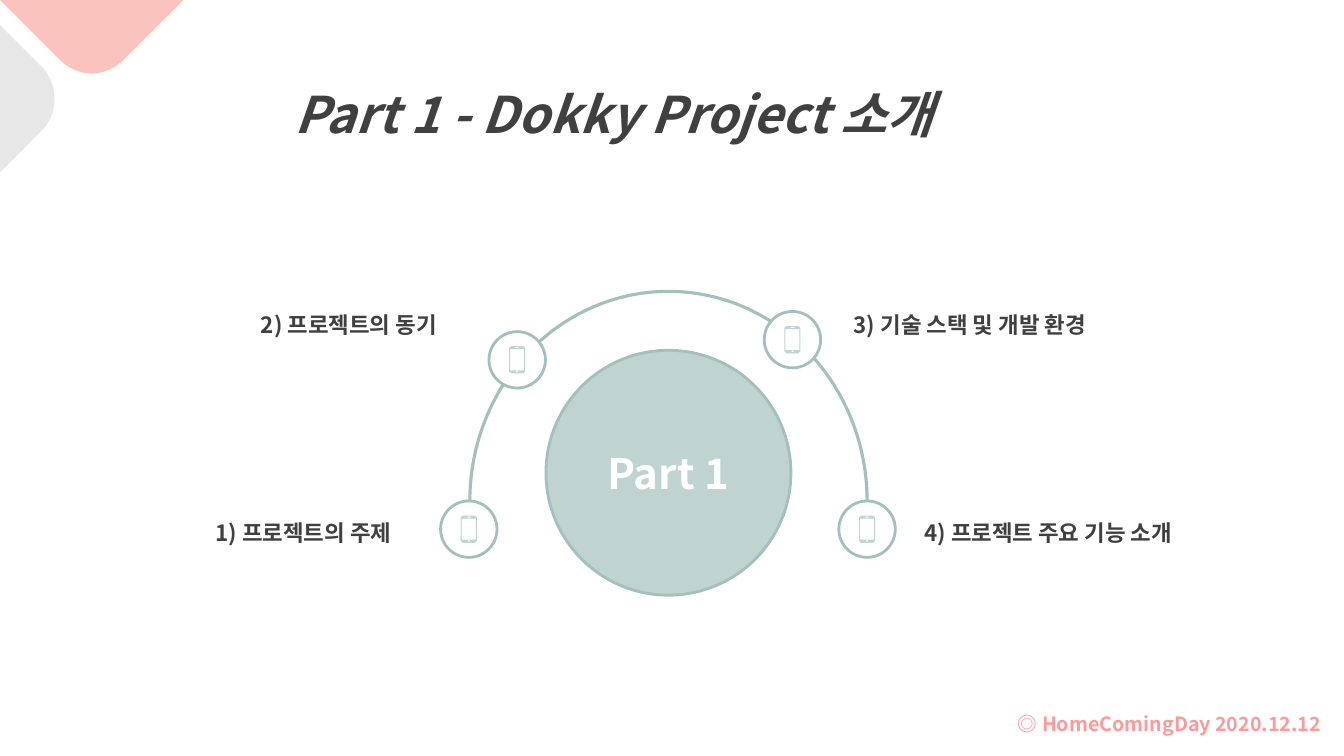
import math
from dataclasses import dataclass

import pptx
import pptx.dml.color
import pptx.enum.shapes
import pptx.enum.text
import pptx.oxml
import pptx.oxml.ns
import pptx.util

Inches = pptx.util.Inches
Pt = pptx.util.Pt
MSO = pptx.enum.shapes.MSO_SHAPE
ALIGN = pptx.enum.text.PP_ALIGN
ANCHOR = pptx.enum.text.MSO_ANCHOR


@dataclass(frozen=True)
class Theme:
    font: str = "Noto Sans CJK KR"
    ink: str = "404040"
    white: str = "FFFFFF"
    sage: str = "BFD3D1"
    sage_line: str = "A4C0BD"
    pink: str = "FAC3BE"
    grey: str = "E7E7E7"
    footer: str = "FF9999"
    title_size: int = 36
    hub_size: int = 30
    label_size: int = 16
    footer_size: int = 14


def rgb(color):
    return pptx.dml.color.RGBColor.from_string(color)


def curve(start, control_1, control_2, end, steps=16):
    """Points along a cubic curve, both ends included."""
    points = []
    for step in range(steps + 1):
        t = step / steps
        weights = ((1 - t) ** 3, 3 * t * (1 - t) ** 2, 3 * t * t * (1 - t), t ** 3)
        corners = (start, control_1, control_2, end)
        points.append(tuple(sum(w * c[axis] for w, c in zip(weights, corners))
                            for axis in (0, 1)))
    return points


def box(left, top, width, height):
    return [(left, top), (left + width, top),
            (left + width, top + height), (left, top + height)]


class SlideBuilder:
    def __init__(self, slide, theme):
        self.slide = slide
        self.theme = theme

    def fill_text(self, frame, text, size, color, align=ALIGN.LEFT, spacing=1.5,
                  italic=False, wrap=True, anchor=ANCHOR.TOP):
        frame.word_wrap = wrap
        frame.vertical_anchor = anchor
        paragraph = frame.paragraphs[0]
        paragraph.alignment = align
        paragraph.line_spacing = spacing
        run = paragraph.add_run()
        run.text = text
        font = run.font
        font.name, font.size, font.bold, font.italic = self.theme.font, Pt(size), True, italic
        font.color.rgb = rgb(color)
        # Hangul takes the East Asian typeface
        east_asian = pptx.oxml.parse_xml(
            f'<a:ea {pptx.oxml.ns.nsdecls("a")} typeface="{self.theme.font}"/>')
        font._element.find(pptx.oxml.ns.qn("a:latin")).addnext(east_asian)

    def title(self, text, left, top, width, height):
        heading = self.slide.shapes.title
        heading.left, heading.top = Inches(left), Inches(top)
        heading.width, heading.height = Inches(width), Inches(height)
        heading.text_frame.auto_size = pptx.enum.text.MSO_AUTO_SIZE.NONE
        self.fill_text(heading.text_frame, text, self.theme.title_size,
                       self.theme.ink, italic=True)

    def text(self, text, left, top, width, height, size, color, **style):
        area = self.slide.shapes.add_textbox(
            Inches(left), Inches(top), Inches(width), Inches(height))
        self.fill_text(area.text_frame, text, size, color, **style)

    def shape(self, kind, left, top, width, height, fill=None, line_width=2.0):
        item = self.slide.shapes.add_shape(
            kind, Inches(left), Inches(top), Inches(width), Inches(height))
        item.shadow.inherit = False
        if fill:
            item.fill.solid()
            item.fill.fore_color.rgb = rgb(fill)
        else:
            item.fill.background()
        item.line.color.rgb = rgb(self.theme.sage_line)
        item.line.width = Pt(line_width)
        return item

    def circle(self, x, y, diameter, fill):
        return self.shape(MSO.OVAL, x - diameter / 2, y - diameter / 2,
                          diameter, diameter, fill)

    def outline(self, contours, fill):
        contours = [[(Inches(x), Inches(y)) for x, y in contour] for contour in contours]
        builder = self.slide.shapes.build_freeform(*contours[0][0])
        builder.add_line_segments(contours[0][1:], close=True)
        for contour in contours[1:]:
            builder.move_to(*contour[0])
            builder.add_line_segments(contour[1:], close=True)
        item = builder.convert_to_shape()
        item.shadow.inherit = False
        item.fill.solid()
        item.fill.fore_color.rgb = rgb(fill)
        item.line.fill.background()

    def phone(self, x, y):
        width, height, bevel = 0.16, 0.27, 0.02
        left, top = x - width / 2, y - height / 2
        right, bottom = left + width, top + height
        body = [(left + bevel, top), (right - bevel, top), (right, top + bevel),
                (right, bottom - bevel), (right - bevel, bottom),
                (left + bevel, bottom), (left, bottom - bevel), (left, top + bevel)]
        screen = box(left + 0.01, top + 0.03, width - 0.02, 0.21)
        speaker = box(x - 0.02, top + 0.01, 0.04, 0.01)
        button = [(x + 0.01 * math.cos(k * math.pi / 6),
                   bottom - 0.02 + 0.01 * math.sin(k * math.pi / 6)) for k in range(12)]
        self.outline([body, screen, speaker, button], self.theme.sage)

    def stop(self, x, y):
        self.circle(x, y, 0.56, self.theme.white)
        self.phone(x, y)


deck = pptx.Presentation()
deck.slide_width, deck.slide_height = Inches(13.33), Inches(7.5)
theme = Theme()
page = SlideBuilder(deck.slides.add_slide(deck.slide_layouts[5]), theme)

# Corner decoration
pink_corner = [(0, 0), (0.6, 0.6),
               *curve((0.6, 0.6), (0.68, 0.68), (0.8, 0.73), (0.91, 0.73)),
               *curve((0.91, 0.73), (1.02, 0.73), (1.13, 0.68), (1.22, 0.6)), (1.82, 0)]
grey_corner = [(0, 0.25),
               *curve((0.41, 0.66), (0.5, 0.75), (0.54, 0.86), (0.54, 0.98)),
               *curve((0.54, 0.98), (0.54, 1.1), (0.5, 1.21), (0.41, 1.3)), (0, 1.71)]
page.outline([pink_corner], theme.pink)
page.outline([grey_corner], theme.grey)

# Title
page.title("Part 1 - Dokky Project 소개", 2.82, 0.47, 6.98, 1.01)

# Hub and the arc over it
hub = page.circle(6.63, 4.69, 2.43, theme.sage)
page.fill_text(hub.text_frame, "Part 1", theme.hub_size, theme.white,
               align=ALIGN.CENTER, spacing=1.0, anchor=ANCHOR.MIDDLE)
arc = page.shape(MSO.LEFT_BRACKET, 5.59, 1.96, 2.08, 3.94, line_width=2.25)
arc.adjustments[0] = 1.2
arc.rotation = 90

# Stops along the arc: centre, label position, label, alignment
label_width, label_height = 3.23, 0.5
upper_label, lower_label = 2.9, 4.97
topics = [
    ((4.65, 5.25), (0.75, lower_label), "1) 프로젝트의 주제", ALIGN.RIGHT),
    ((5.13, 3.57), (1.2, upper_label), "2) 프로젝트의 동기", ALIGN.RIGHT),
    ((7.86, 3.37), (8.37, upper_label), "3) 기술 스택 및 개발 환경", ALIGN.LEFT),
    ((8.6, 5.25), (9.07, lower_label), "4) 프로젝트 주요 기능 소개", ALIGN.LEFT),
]
for centre, corner, topic, align in topics:
    page.stop(*centre)
    page.text(topic, *corner, label_width, label_height,
              theme.label_size, theme.ink, align=align)

# Footer
page.text("◎ HomeComingDay 2020.12.12", 9.98, 6.9, 3.24, 0.45,
          theme.footer_size, theme.footer, align=ALIGN.CENTER, wrap=False)

deck.save("out.pptx")
